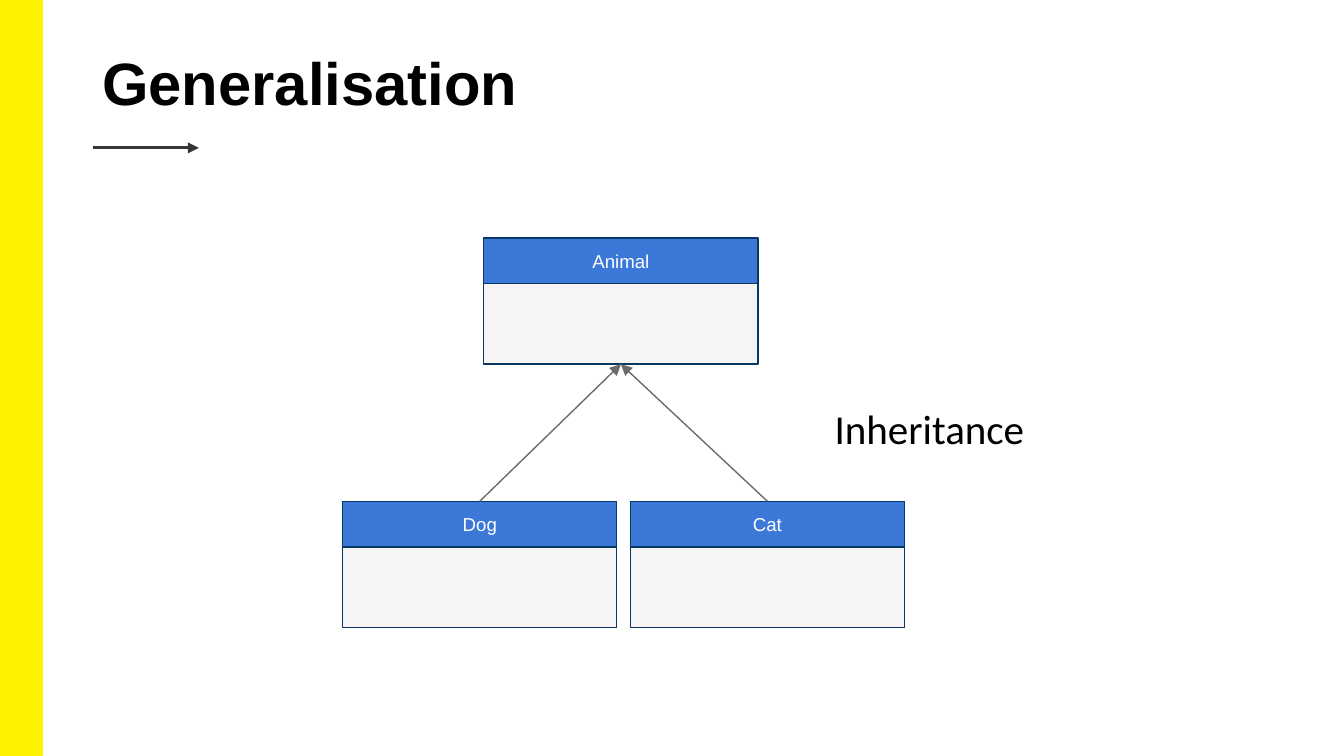
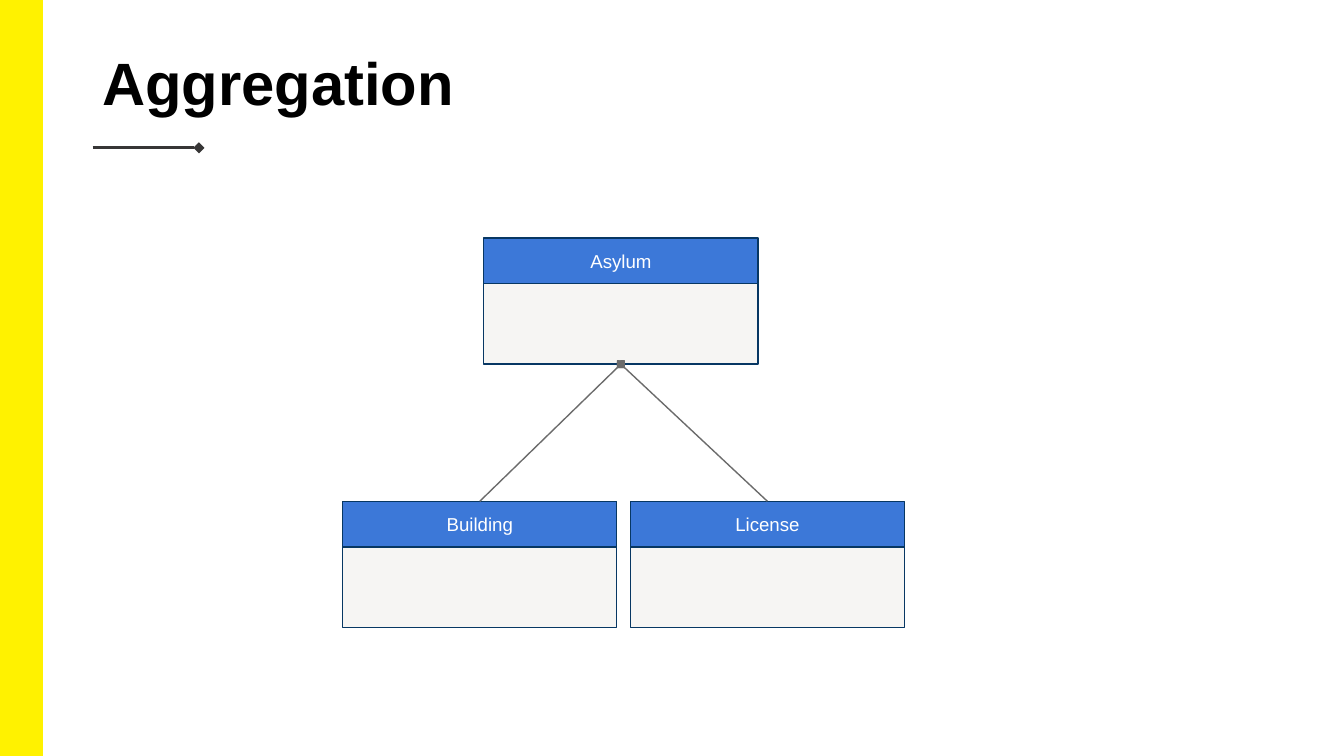
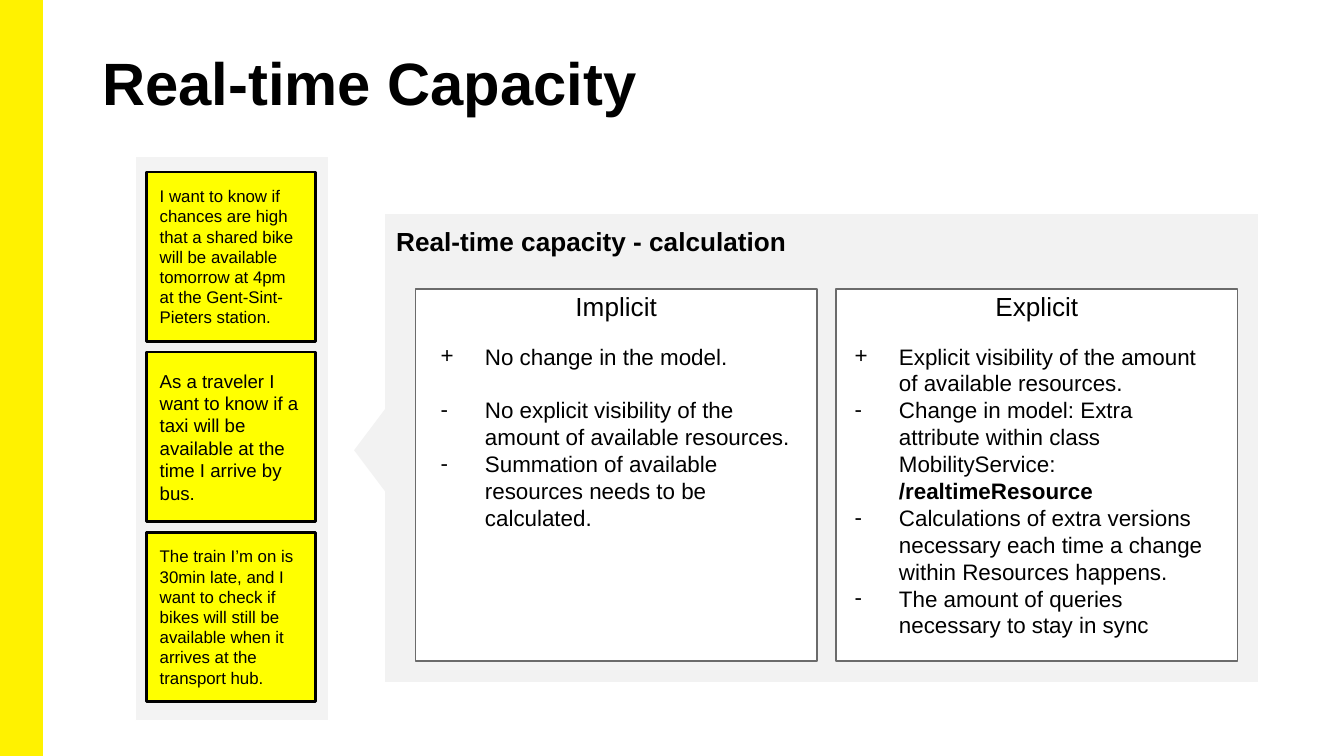
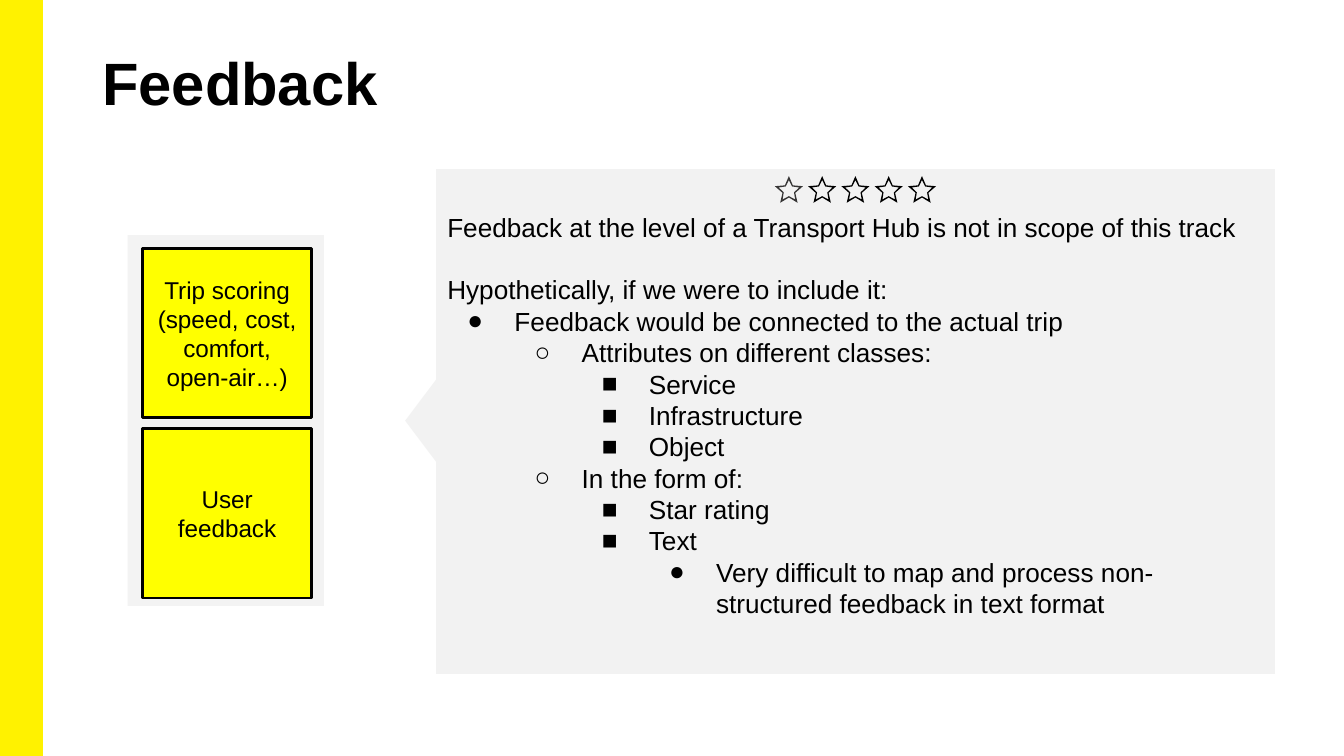
from dataclasses import dataclass
from math import cos, pi, sin
from typing import NamedTuple

from lxml.etree import SubElement
from pptx import Presentation
from pptx.dml.color import RGBColor
from pptx.enum.shapes import MSO_CONNECTOR, MSO_SHAPE
from pptx.enum.text import MSO_ANCHOR, MSO_AUTO_SIZE, PP_ALIGN
from pptx.oxml.ns import qn
from pptx.util import Inches, Pt


@dataclass(frozen=True)
class Theme:
    font: str = "Arial"
    note_font: str = "Calibri"
    band: str = "FFF200"
    text: str = "000000"
    white: str = "FFFFFF"
    header: str = "3C78D8"
    body: str = "F6F5F3"
    class_line: str = "073763"
    grey_line: str = "6B6B6B"
    dark: str = "373636"
    sticky: str = "FFFF00"
    tray: str = "F3F3F3"
    panel: str = "F2F2F2"
    title_size: float = 32
    note_size: float = 22
    heading_size: float = 14
    list_size: float = 12
    class_size: float = 10
    sticky_size: float = 13


class Item(NamedTuple):
    text: str
    bullet: str = ""
    level: int = 0
    gap: bool = False
    bold_end: str = ""


THEME = Theme()
SLIDE_WIDTH = Inches(10)
SLIDE_HEIGHT = SLIDE_WIDTH * 9 // 16
WIDE_INSET = (0.1, 0.1, 0.1, 0.1)
TIGHT_INSET = (0.07, 0.04, 0.07, 0.04)

CLASS_SLIDES = [
    {"title": "Generalisation", "parent": "Animal", "children": ["Dog", "Cat"],
     "arrowhead": "triangle", "note": "Inheritance"},
    {"title": "Aggregation", "parent": "Asylum", "children": ["Building", "License"],
     "arrowhead": "diamond", "note": ""},
]

CAPACITY_TITLE = "Real-time Capacity"
CAPACITY_HEADING = "Real-time capacity - calculation"
CAPACITY_STORIES = [
    ("I want to know if chances are high that a shared bike will be available "
     "tomorrow at 4pm at the Gent-Sint-Pieters station.", 9),
    ("As a traveler I want to know if a taxi will be available at the time "
     "I arrive by bus.", 10),
    ("The train I’m on is 30min late, and I want to check if bikes will still be "
     "available when it arrives at the transport hub.", 9),
]
CAPACITY_OPTIONS = [
    {"heading": "Implicit", "list_box": (3.01, 2.45, 3.08, 1.62), "items": [
        Item("No change in the model.", "+"),
        Item("No explicit visibility of the amount of available resources.", "-", gap=True),
        Item("Summation of available resources needs to be calculated.", "-"),
    ]},
    {"heading": "Explicit", "list_box": (6.09, 2.45, 2.99, 2.42), "items": [
        Item("Explicit visibility of the amount of available resources.", "+"),
        Item("Change in model: Extra attribute within class MobilityService: ", "-",
             bold_end="/realtimeResource"),
        Item("Calculations of extra versions necessary each time a change within "
             "Resources happens.", "-"),
        Item("The amount of queries necessary to stay in sync", "-"),
    ]},
]

FEEDBACK_TITLE = "Feedback"
FEEDBACK_STORIES = [
    ("Trip scoring (speed, cost, comfort, open-air…)", THEME.sticky_size),
    ("User feedback", THEME.sticky_size),
]
FEEDBACK_ITEMS = [
    Item("Feedback at the level of a Transport Hub is not in scope of this track"),
    Item("Hypothetically, if we were to include it:", gap=True),
    Item("Feedback would be connected to the actual trip", "●"),
    Item("Attributes on different classes:", "○", 1),
    Item("Service", "■", 2),
    Item("Infrastructure", "■", 2),
    Item("Object", "■", 2),
    Item("In the form of:", "○", 1),
    Item("Star rating", "■", 2),
    Item("Text", "■", 2),
    Item("Very difficult to map and process non-structured feedback in text format", "●", 3),
]
STAR_COLORS = [THEME.dark] + [THEME.text] * 4


def rgb(color):
    return RGBColor.from_string(color)


def format_run(run, size, color, font, bold):
    run.font.size = Pt(size)
    run.font.color.rgb = rgb(color)
    run.font.name = font
    run.font.bold = bold


def add_bullet(paragraph, item, hanging):
    properties = paragraph._p.get_or_add_pPr()
    properties.set("marL", str(Inches(0.5 * (item.level + 1))))
    properties.set("indent", str(-Inches(hanging)))
    color = SubElement(properties, qn("a:buClr"))
    SubElement(color, qn("a:srgbClr")).set("val", THEME.text)
    SubElement(properties, qn("a:buFont")).set("typeface", THEME.font)
    SubElement(properties, qn("a:buChar")).set("char", item.bullet)


def write_text(shape, items, size, color=THEME.text, font=THEME.font, bold=False,
               align=PP_ALIGN.LEFT, anchor=MSO_ANCHOR.TOP, inset=WIDE_INSET,
               hanging=0.35):
    frame = shape.text_frame
    frame.word_wrap = True
    frame.auto_size = MSO_AUTO_SIZE.NONE
    frame.vertical_anchor = anchor
    (frame.margin_left, frame.margin_top,
     frame.margin_right, frame.margin_bottom) = map(Inches, inset)
    for index, item in enumerate(items):
        paragraph = frame.add_paragraph() if index else frame.paragraphs[0]
        paragraph.text = item.text
        paragraph.level = item.level
        paragraph.alignment = align
        if item.bullet:
            add_bullet(paragraph, item, hanging)
        paragraph.space_before = Pt(size * 1.2 if item.gap else 0)
        format_run(paragraph.runs[0], size, color, font, bold)
        if item.bold_end:
            end_run = paragraph.add_run()
            end_run.text = item.bold_end
            format_run(end_run, size, color, font, True)


def paint(shape, fill, line=None, width=0.75):
    shape.shadow.inherit = False
    shape.fill.solid()
    shape.fill.fore_color.rgb = rgb(fill)
    if line:
        shape.line.color.rgb = rgb(line)
        shape.line.width = Pt(width)
    else:
        shape.line.fill.background()


def add_box(shapes, box, fill, line=None, width=0.75, kind=MSO_SHAPE.RECTANGLE):
    shape = shapes.add_shape(kind, *map(Inches, box))
    paint(shape, fill, line, width)
    return shape


def add_text(slide, box, items, size, **style):
    write_text(slide.shapes.add_textbox(*map(Inches, box)), items, size, **style)


def add_arrow(slide, start, end, color, width, arrowhead):
    connector = slide.shapes.add_connector(
        MSO_CONNECTOR.STRAIGHT, *map(Inches, (*start, *end)))
    connector.line.color.rgb = rgb(color)
    connector.line.width = Pt(width)
    properties = connector.element.spPr
    SubElement(properties.find(qn("a:ln")), qn("a:tailEnd")).set("type", arrowhead)
    SubElement(properties, qn("a:effectLst"))
    return connector


def add_titled_slide(presentation, title):
    slide = presentation.slides.add_slide(presentation.slide_layouts[5])
    placeholder = slide.shapes.title
    placeholder.left, placeholder.top = Inches(0.69), Inches(0.3)
    placeholder.width, placeholder.height = Inches(8.62), Inches(0.8)
    write_text(placeholder, [Item(title)], THEME.title_size, bold=True, inset=TIGHT_INSET)
    return slide


def move_band_to_layout(slide):
    band = add_box(slide.shapes, (0, 0, 0.31, 1), THEME.band, THEME.band, 1)
    band.height = SLIDE_HEIGHT
    slide.slide_layout.shapes.element.insert(2, band.element)


def add_class(slide, left, top, name):
    width, header_height, body_height = 2.04, 0.34, 0.6
    group = slide.shapes.add_group_shape()
    body = add_box(group.shapes, (left, top + header_height, width, body_height),
                   THEME.body, THEME.class_line)
    header = add_box(group.shapes, (left, top, width, header_height),
                     THEME.header, THEME.class_line)
    write_text(header, [Item(name)], THEME.class_size, color=THEME.white,
               align=PP_ALIGN.CENTER, anchor=MSO_ANCHOR.MIDDLE)
    return header, body


def build_class_slide(presentation, content):
    slide = add_titled_slide(presentation, content["title"])
    parent_body = add_class(slide, 3.6, 1.77, content["parent"])[1]
    child_headers = [add_class(slide, 2.55 + 2.14 * index, 3.73, name)[0]
                     for index, name in enumerate(content["children"])]
    for header in child_headers:
        link = add_arrow(slide, (0, 0), (1, 1), THEME.grey_line, 0.75, content["arrowhead"])
        link.begin_connect(header, 0)
        link.end_connect(parent_body, 2)
    add_arrow(slide, (0.69, 1.1), (1.48, 1.1), THEME.dark, 1.5, content["arrowhead"])
    if content["note"]:
        add_text(slide, (6.14, 2.96, 2.71, 0.53), [Item(content["note"])], THEME.note_size,
                 font=THEME.note_font, inset=TIGHT_INSET)
    return slide


def add_stickies(slide, left, top, stories, align):
    side, pitch = 1.26, 1.34
    for index, (story, size) in enumerate(stories):
        sticky = add_box(slide.shapes, (left, top + index * pitch, side, side),
                         THEME.sticky, THEME.text, 1.5)
        write_text(sticky, [Item(story)], size, align=align, anchor=MSO_ANCHOR.MIDDLE)


def add_callout(slide, box, pointer_left, pointer_top):
    panel = add_box(slide.shapes, box, THEME.panel, THEME.white, 2.25)
    pointer = add_box(slide.shapes, (pointer_left, pointer_top, 0.69, 0.26), THEME.panel,
                      kind=MSO_SHAPE.ISOSCELES_TRIANGLE)
    pointer.rotation = 270
    return panel


def build_capacity_slide(presentation):
    slide = add_titled_slide(presentation, CAPACITY_TITLE)
    add_box(slide.shapes, (1.01, 1.16, 1.44, 4.2), THEME.tray, THEME.white)
    add_stickies(slide, 1.09, 1.28, CAPACITY_STORIES, PP_ALIGN.LEFT)
    panel = add_callout(slide, (2.85, 1.58, 6.53, 3.51), 2.42, 3.22)
    write_text(panel, [Item(CAPACITY_HEADING)], THEME.heading_size, bold=True,
               align=PP_ALIGN.JUSTIFY)
    for index, option in enumerate(CAPACITY_OPTIONS):
        left = 3.09 + 3.13 * index
        add_box(slide.shapes, (left, 2.15, 2.99, 2.77), THEME.white, THEME.grey_line)
        add_text(slide, (left, 2.06, 2.99, 0.44), [Item(option["heading"])],
                 THEME.heading_size, align=PP_ALIGN.CENTER)
        add_text(slide, option["list_box"], option["items"], THEME.list_size, hanging=0.33)


def star_points(center_x, center_y, tip_radius, notch_radius):
    points = []
    for index in range(10):
        radius = notch_radius if index % 2 else tip_radius
        angle = index * pi / 5
        points.append((Inches(center_x + radius * sin(angle)),
                       Inches(center_y - radius * cos(angle))))
    return points


def add_star(slide, center_x, center_y, color):
    outer = star_points(center_x, center_y, 0.11, 0.05)
    inner = star_points(center_x, center_y, 0.08, 0.04)[::-1]
    builder = slide.shapes.build_freeform(*outer[0])
    builder.add_line_segments(outer[1:], close=True)
    builder.move_to(*inner[0])
    builder.add_line_segments(inner[1:], close=True)
    paint(builder.convert_to_shape(), color)


def build_feedback_slide(presentation):
    slide = add_titled_slide(presentation, FEEDBACK_TITLE)
    add_box(slide.shapes, (0.95, 1.75, 1.46, 2.76), THEME.tray)
    panel = add_callout(slide, (3.23, 1.24, 6.27, 3.79), 2.8, 3)
    write_text(panel, FEEDBACK_ITEMS, THEME.heading_size, inset=(0.1, 0.33, 0.1, 0.1))
    add_stickies(slide, 1.06, 1.85, FEEDBACK_STORIES, PP_ALIGN.CENTER)
    first_center, last_center = 5.87, 6.86
    step = (last_center - first_center) / (len(STAR_COLORS) - 1)
    for index, color in enumerate(STAR_COLORS):
        add_star(slide, first_center + index * step, 1.42, color)


def main():
    presentation = Presentation()
    presentation.slide_width, presentation.slide_height = SLIDE_WIDTH, SLIDE_HEIGHT
    class_slides = [build_class_slide(presentation, content) for content in CLASS_SLIDES]
    move_band_to_layout(class_slides[0])
    build_capacity_slide(presentation)
    build_feedback_slide(presentation)
    presentation.save("out.pptx")


if __name__ == "__main__":
    main()
